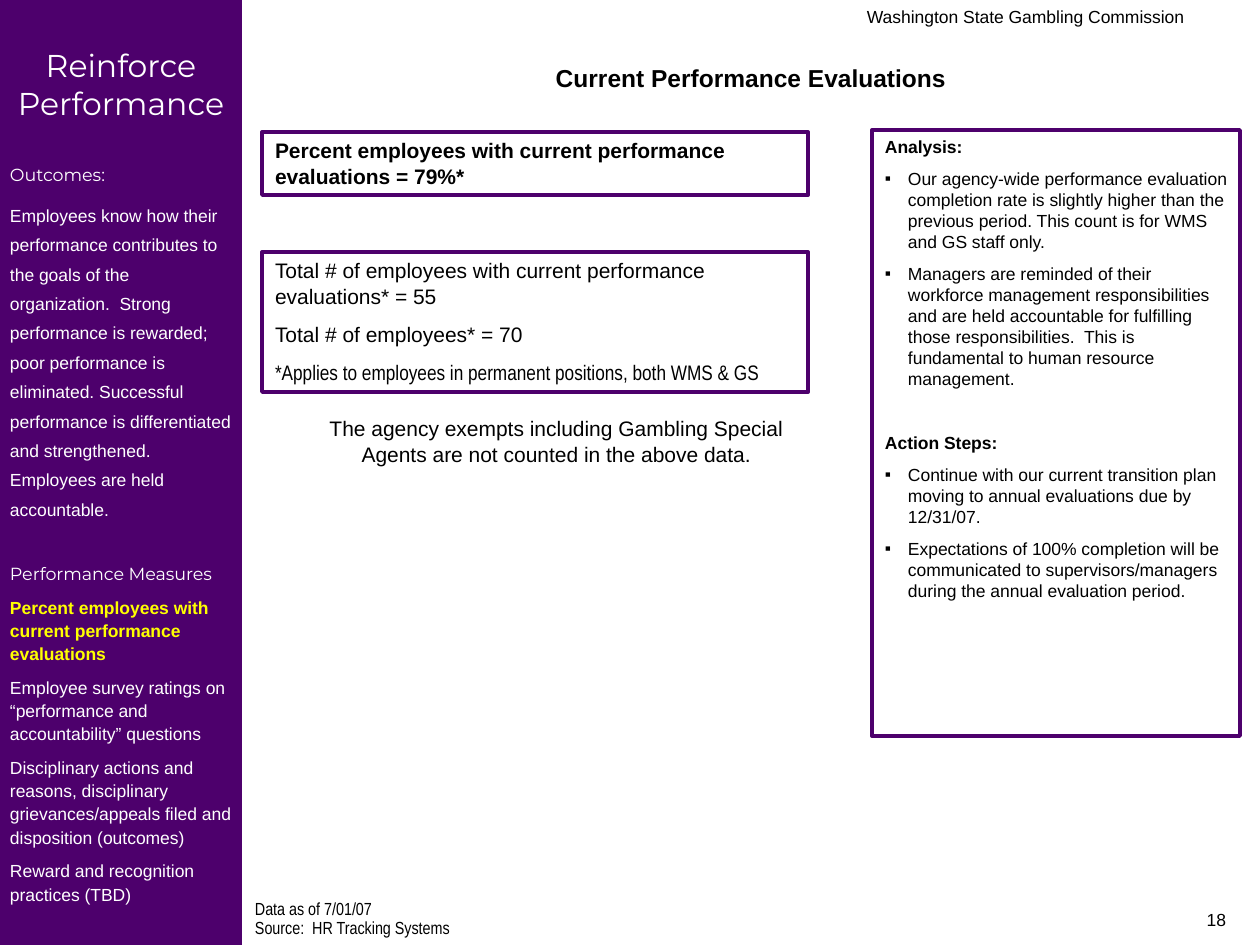
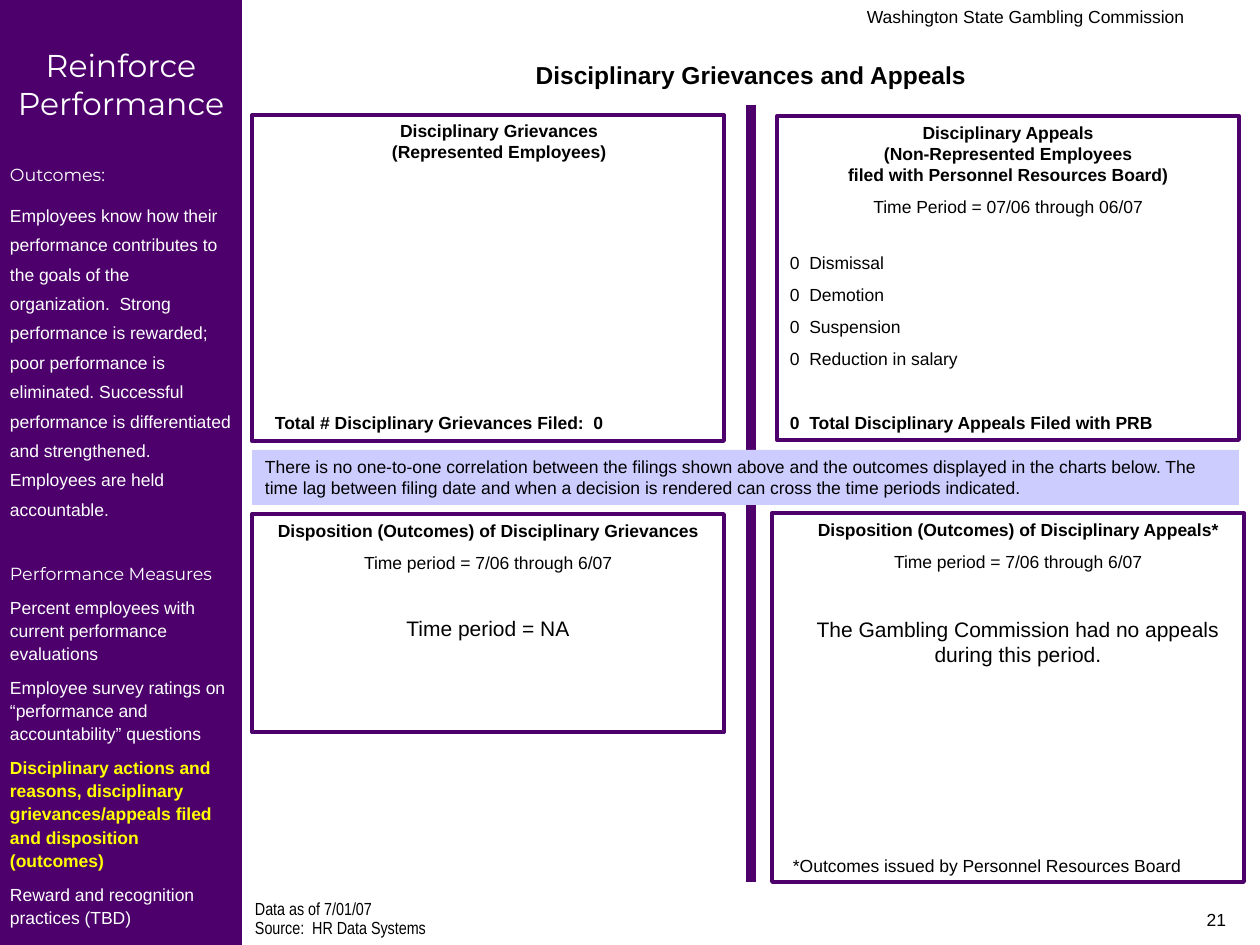
import copy
import lxml.etree
import pptx
import pptx.dml.color
import pptx.enum.shapes
import pptx.enum.text
import pptx.oxml.ns
import pptx.util

PURPLE, LILAC, YELLOW = "4D006C", "CCCCFF", "FFFF00"
WHITE, BLACK = "FFFFFF", "000000"
SANS, SLIM, HEAD = "Arial", "Arial Narrow", "Montserrat"
GAP = 6.2
BREAK = 24.5
ALIGN = {
    "l": pptx.enum.text.PP_ALIGN.LEFT,
    "c": pptx.enum.text.PP_ALIGN.CENTER,
    "r": pptx.enum.text.PP_ALIGN.RIGHT,
}
GOALS = (
    "Employees know how their performance contributes to the goals of the "
    "organization.  Strong performance is rewarded; poor performance is "
    "eliminated. Successful performance is differentiated and strengthened. "
    "Employees are held accountable."
)
TOPICS = [
    "Percent employees with current performance evaluations",
    "Employee survey ratings on “performance and accountability” questions",
    "Disciplinary actions and reasons, disciplinary grievances/appeals filed "
    "and disposition (outcomes)",
    "Reward and recognition practices (TBD)",
]


def px(count):
    return round(count * 914400 / 126)


def paint(code):
    return pptx.dml.color.RGBColor.from_string(code)


def tag(name):
    return pptx.oxml.ns.qn("a:" + name)


def write(para, text, size=10, font=SANS, color=BLACK, bold=False,
          align="l", gap=GAP, lead=None, mark=None):
    props = para._p.get_or_add_pPr()
    hang = px(23) if mark else 0
    props.set("marL", str(hang))
    props.set("indent", str(-hang))
    if mark:
        lxml.etree.SubElement(props, tag("buChar"), char=mark)
    else:
        lxml.etree.SubElement(props, tag("buNone"))
    para.text = text
    para.alignment = ALIGN[align]
    para.space_before = pptx.util.Pt(gap)
    if lead:
        para.line_spacing = lead
    for run in para.runs:
        run.font.size = pptx.util.Pt(size)
        run.font.name = font
        run.font.bold = bold
        run.font.color.rgb = paint(color)
    for line in para._p.findall(tag("br")):
        line.append(copy.deepcopy(para.runs[0]._r.rPr))


class Deck:
    def __init__(self):
        self.file = pptx.Presentation()
        self.file.slide_width = px(1260)
        self.file.slide_height = px(945)
        self.slide = None

    def fill(self, shape, items, inset=(13, 6, 13, 6)):
        frame = shape.text_frame
        frame.word_wrap = True
        frame.auto_size = pptx.enum.text.MSO_AUTO_SIZE.NONE
        frame.vertical_anchor = pptx.enum.text.MSO_ANCHOR.TOP
        (frame.margin_left, frame.margin_top,
         frame.margin_right, frame.margin_bottom) = map(px, inset)
        for spot, (text, form) in enumerate(items):
            if spot:
                write(frame.add_paragraph(), text, **form)
            else:
                write(frame.paragraphs[0], text, **{**form, "gap": 0})

    def edge(self, shape):
        shape.line.color.rgb = paint(PURPLE)
        shape.line.width = pptx.util.Pt(2.25)

    def text(self, area, *items):
        box = self.slide.shapes.add_textbox(*map(px, area))
        self.fill(box, items)

    def block(self, area, *items, color=None, inset=(13, 6, 13, 6)):
        shape = self.slide.shapes.add_shape(
            pptx.enum.shapes.MSO_SHAPE.RECTANGLE, *map(px, area))
        shape.shadow.inherit = False
        if color:
            shape.fill.solid()
            shape.fill.fore_color.rgb = paint(color)
            shape.line.fill.background()
        else:
            shape.fill.background()
            self.edge(shape)
        self.fill(shape, items, inset)

    def place(self, shape, area):
        shape.left, shape.top, shape.width, shape.height = map(px, area)

    def title(self, text, top):
        shape = self.slide.shapes.title
        self.place(shape, (252, top, 998, 43))
        self.fill(shape, [(text, dict(size=14, bold=True, align="c"))])

    def body(self, area, *items):
        shape = self.slide.placeholders[1]
        self.place(shape, area)
        self.edge(shape)
        self.fill(shape, items)

    def rule(self, left, top, end):
        line = self.slide.shapes.add_connector(
            pptx.enum.shapes.MSO_CONNECTOR.STRAIGHT,
            *map(px, (left, top, left, end)))
        line.line.color.rgb = paint(PURPLE)
        line.line.width = pptx.util.Pt(6)
        lxml.etree.SubElement(line._element.spPr, tag("effectLst"))

    def side(self, topic):
        head = dict(font=HEAD, color=WHITE)
        items = [
            ("Reinforce Performance", dict(head, size=18, align="c")),
            ("Outcomes:", dict(head, gap=BREAK)),
            (GOALS, dict(color=WHITE, lead=1.4)),
            ("Performance Measures", dict(head, gap=BREAK)),
        ]
        for spot, name in enumerate(TOPICS):
            live = spot == topic
            items.append((name, dict(
                color=YELLOW if live else WHITE, bold=live, lead=1.1)))
        self.block((0, 0, 242, 945), *items,
                   color=PURPLE, inset=(10, 46, 10, 5))

    def start(self, title, top, topic, source, number):
        self.slide = self.file.slides.add_slide(self.file.slide_layouts[1])
        self.title(title, top)
        self.side(topic)
        self.text((567, 0, 630, 32),
                  ("Washington State Gambling Commission", dict(align="r")))
        note = dict(font=SLIM, lead=0.7, gap=2.5)
        self.text((242, 898, 609, 47),
                  ("Data as of 7/01/07", note), ("Source:  " + source, note))
        self.text((945, 903, 294, 42), (number, dict(align="r")))


def review(deck):
    deck.start("Current Performance Evaluations", 57, 0,
               "HR Tracking Systems", "18")
    large = dict(size=12, gap=7.5)
    deck.block((262, 132, 546, 63), (
        "Percent employees with current performance evaluations = 79%*",
        dict(large, bold=True)))
    deck.block(
        (262, 252, 546, 140),
        ("Total # of employees with current performance evaluations* = 55",
         large),
        ("Total # of employees* = 70", large),
        ("*Applies to employees in permanent positions, both WMS & GS",
         dict(large, font=SLIM)))
    deck.text((294, 410, 525, 63), (
        "The agency exempts including Gambling Special Agents are not "
        "counted in the above data.", dict(large, align="c")))
    point = dict(mark="▪")
    deck.body(
        (872, 130, 368, 606),
        ("Analysis:", dict(bold=True)),
        ("Our agency-wide performance evaluation completion rate is slightly "
         "higher than the previous period. This count is for WMS and GS "
         "staff only.", point),
        ("Managers are reminded of their workforce management "
         "responsibilities and are held accountable for fulfilling those "
         "responsibilities.  This is fundamental to human resource "
         "management.", point),
        ("Action Steps:", dict(bold=True, gap=BREAK)),
        ("Continue with our current transition plan moving to annual "
         "evaluations due by 12/31/07.", point),
        ("Expectations of 100% completion will be communicated to "
         "supervisors/managers during the annual evaluation period.", point))


def appeals(deck):
    deck.start("Disciplinary Grievances and Appeals", 54, 2,
               "HR Data Systems", "21")
    mid = dict(align="c")
    head = dict(mid, bold=True)
    span = ("Time period = 7/06 through 6/07", mid)
    deck.rule(751, 105, 882)
    deck.block((252, 450, 987, 55), (
        "There is no one-to-one correlation between the filings shown above "
        "and the outcomes displayed in the charts below. The time lag "
        "between filing date and when a decision is rendered can cross the "
        "time periods indicated.", {}), color=LILAC)
    deck.block((252, 115, 472, 326))
    deck.text((305, 114, 388, 55), (
        "Disciplinary Grievances\n(Represented Employees)", head))
    deck.text((262, 406, 388, 34), (
        "Total # Disciplinary Grievances Filed:  0", dict(bold=True)))
    deck.body(
        (777, 116, 462, 324),
        ("Disciplinary Appeals\n(Non-Represented Employees\n"
         "filed with Personnel Resources Board)", head),
        ("Time Period = 07/06 through 06/07", mid),
        ("0  Dismissal", dict(gap=20)),
        ("0  Demotion", {}),
        ("0  Suspension", {}),
        ("0  Reduction in salary", {}),
        ("0  Total Disciplinary Appeals Filed with PRB",
         dict(bold=True, gap=BREAK)))
    deck.block(
        (252, 514, 472, 218),
        ("Disposition (Outcomes) of Disciplinary Grievances", head),
        span,
        ("Time period = NA", dict(mid, size=12, gap=BREAK)))
    deck.block((772, 513, 472, 369))
    deck.text(
        (787, 513, 462, 161),
        ("Disposition (Outcomes) of Disciplinary Appeals*", head),
        span,
        ("The Gambling Commission had no appeals during this period.",
         dict(mid, size=12, gap=25.5)))
    deck.text((780, 849, 431, 34),
              ("*Outcomes issued by Personnel Resources Board", {}))


def main():
    deck = Deck()
    review(deck)
    appeals(deck)
    deck.file.save("out.pptx")


if __name__ == "__main__":
    main()
